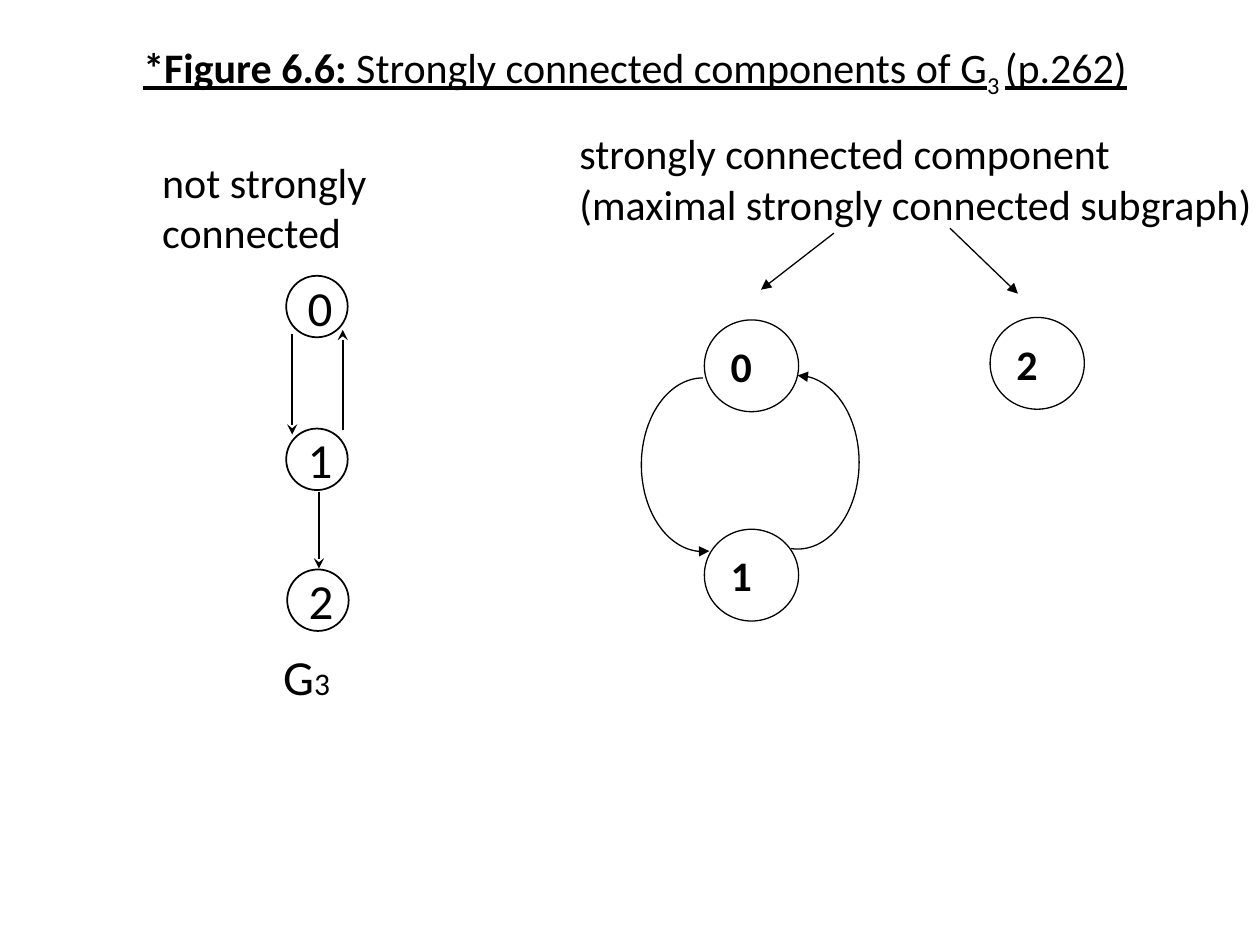
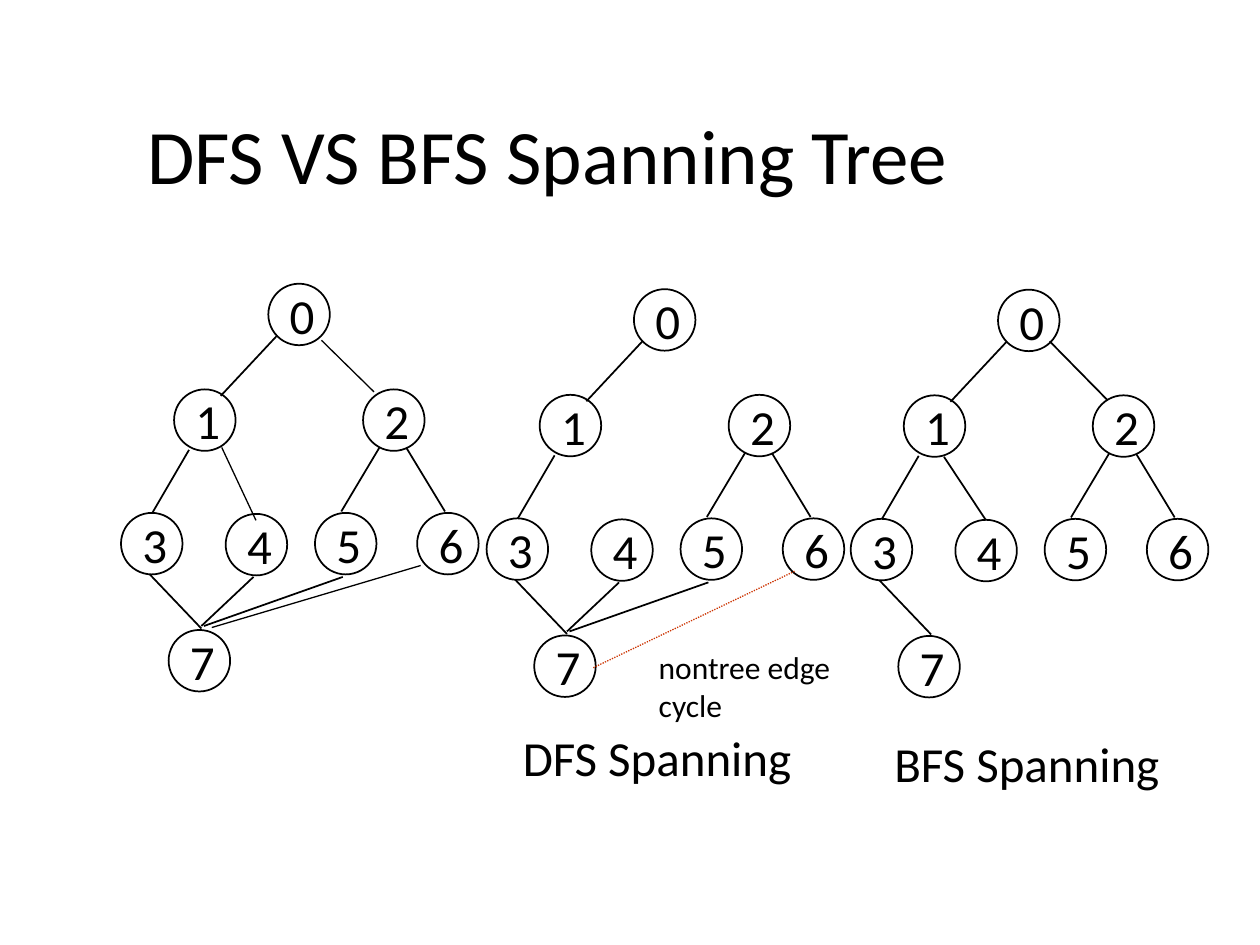
from dataclasses import dataclass
from math import cos, radians, sin

from lxml.etree import SubElement
from pptx import Presentation
from pptx.dml.color import RGBColor
from pptx.enum.dml import MSO_LINE
from pptx.enum.shapes import MSO_CONNECTOR, MSO_SHAPE
from pptx.enum.text import MSO_ANCHOR, PP_ALIGN
from pptx.oxml.ns import qn
from pptx.util import Cm, Pt


@dataclass(frozen=True)
class Theme:
    font: str = "Calibri"
    ink: RGBColor = RGBColor(0x00, 0x00, 0x00)
    paper: RGBColor = RGBColor(0xFF, 0xFF, 0xFF)
    accent: RGBColor = RGBColor(0xCC, 0x33, 0x00)
    title: int = 44
    label: int = 28
    body: int = 24
    small: int = 18
    thin: float = 0.75
    line: float = 1


THEME = Theme()


def write(tf, text, size=THEME.body, bold=False, anchor=MSO_ANCHOR.MIDDLE, wrap=True):
    """Fill a frame; each line is a string or a list of (text, run format) pairs."""
    tf.word_wrap = wrap
    tf.vertical_anchor = anchor
    lines = text if isinstance(text, list) else [text]
    for i, line in enumerate(lines):
        p = tf.add_paragraph() if i else tf.paragraphs[0]
        p.alignment = PP_ALIGN.LEFT
        for run_text, fmt in [(line, {})] if isinstance(line, str) else line:
            r = p.add_run()
            r.text = run_text
            r.font.name = THEME.font
            r.font.size = Pt(fmt.get("size", size))
            r.font.bold = fmt.get("bold", bold)
            r.font.underline = fmt.get("underline", False)
            r.font.color.rgb = THEME.ink
            if "baseline" in fmt:
                r.font._element.set("baseline", str(fmt["baseline"]))


class Deck:
    def __init__(self, theme):
        self.theme = theme
        self.prs = Presentation()
        self.prs.slide_width, self.prs.slide_height = Cm(25.4), Cm(19.05)
        self.s = None

    def new_slide(self):
        self.s = self.prs.slides.add_slide(self.prs.slide_layouts[6])

    def text(self, x, y, w, h, text, **fmt):
        sp = self.s.shapes.add_textbox(Cm(x), Cm(y), Cm(w), Cm(h))
        write(sp.text_frame, text, **fmt)

    def node(self, x, y, name, w=1.24, h=1.24, weight=THEME.line, **fmt):
        sp = self.s.shapes.add_shape(MSO_SHAPE.OVAL, Cm(x), Cm(y), Cm(w), Cm(h))
        sp.shadow.inherit = False
        sp.fill.solid()
        sp.fill.fore_color.rgb = self.theme.paper
        self.stroke(sp, weight)
        write(sp.text_frame, name, **{"size": self.theme.label, **fmt})

    def stroke(self, sp, weight, color=None, dash=None, head=None, tail=None):
        sp.line.color.rgb = color or self.theme.ink
        sp.line.width = Pt(weight)
        if dash:
            sp.line.dash_style = dash
        ln = sp._element.spPr.find(qn("a:ln"))
        for tag, kind in (("a:headEnd", head), ("a:tailEnd", tail)):
            if kind:
                SubElement(ln, qn(tag), type=kind)

    def edge(self, x1, y1, x2, y2, weight=THEME.line, **style):
        sp = self.s.shapes.add_connector(
            MSO_CONNECTOR.STRAIGHT, Cm(x1), Cm(y1), Cm(x2), Cm(y2))
        self.stroke(sp, weight, **style)
        SubElement(sp._element.spPr, qn("a:effectLst"))

    def arc(self, cx, cy, side, rx=1.24, ry=1.75, **style):
        """Half-ellipse from the top to just past the bottom; side is 1 or -1."""
        points = [(Cm(cx + side * rx * cos(radians(a))), Cm(cy + ry * sin(radians(a))))
                  for a in range(-90, 97, 3)]
        fb = self.s.shapes.build_freeform(*points[0])
        fb.add_line_segments(points[1:], close=False)
        sp = fb.convert_to_shape()
        sp.shadow.inherit = False
        sp.fill.background()
        self.stroke(sp, self.theme.thin, **style)


# Positions in cm of the tree's nodes and edges, for the leftmost graph
TREE_NODES = [(5.41, 5.72), (3.51, 7.85), (7.32, 7.85), (2.44, 10.34),
              (4.55, 10.36), (6.35, 10.34), (8.41, 10.34), (3.4, 12.7)]
TREE_EDGES = {
    "0-1": (5.59, 6.76, 4.45, 7.98), "0-2": (6.45, 6.76, 7.62, 7.95),
    "1-3": (3.81, 9.07, 3.07, 10.34), "1-4": (4.32, 9.09, 5.16, 10.36),
    "2-5": (7.65, 9.02, 6.88, 10.31), "2-6": (8.2, 9.04, 8.97, 10.31),
    "3-7": (3.02, 11.58, 4.06, 12.67), "4-7": (4.06, 12.62, 5.11, 11.63),
    "5-7": (4.11, 12.62, 6.91, 11.63),
}
# Thin edges that only the full graph has
FULL_GRAPH_EDGES = [(6.48, 6.86, 7.54, 7.9), (4.47, 9.02, 5.16, 10.49),
                    (4.27, 12.65, 8.48, 11.4)]


def components_slide(d):
    t = d.theme
    d.new_slide()
    d.text(2.64, 0.79, 20.57, 1.27, [[
        ("*Figure 6.6: ", {"bold": True, "underline": True}),
        ("Strongly connected components of G", {"underline": True}),
        ("3 ", {"baseline": -25000}),
        ("(p.262)", {"underline": True})]], wrap=False)

    # Strongly connected components
    for x, y, name in [(14.2, 6.45, "0"), (14.2, 10.67, "1"), (19.96, 6.4, "2")]:
        d.node(x, y, name, w=1.9, h=1.85, weight=t.thin, size=t.body, bold=True)
    d.arc(16.08, 9.32, 1, head="triangle")
    d.arc(14.17, 9.37, -1, tail="triangle")

    # Graph G3
    for x, y, name in [(5.77, 5.56, "0"), (5.77, 8.64, "1"), (5.79, 11.48, "2")]:
        d.node(x, y, name)
    for ends in [(6.43, 9.91, 6.43, 11.46), (6.91, 8.66, 6.91, 6.65),
                 (5.89, 6.73, 5.89, 8.76)]:
        d.edge(*ends, tail="stealth")
    d.text(5.46, 12.9, 1.55, 1.45, [[("G", {}), ("3", {"size": t.small})]],
           size=t.label, anchor=MSO_ANCHOR.TOP)

    # Captions and pointers
    d.text(3.02, 3.53, 8.2, 1.27, "not strongly connected")
    for ends in [(16.81, 4.7, 15.34, 5.84), (19.15, 4.6, 20.52, 5.92)]:
        d.edge(*ends, weight=t.thin, tail="triangle")
    d.text(11.43, 2.44, 14.1, 2.31, ["strongly connected component",
           "(maximal strongly connected subgraph)"], wrap=False)


def tree(d, dx, dy, edges):
    for number, (x, y) in enumerate(TREE_NODES):
        d.node(x + dx, y + dy, str(number))
    for name in edges.split():
        x1, y1, x2, y2 = TREE_EDGES[name]
        d.edge(x1 + dx, y1 + dy, x2 + dx, y2 + dy)


def spanning_slide(d):
    t = d.theme
    d.new_slide()
    d.text(2.72, 1.5, 22.68, 3.18, "DFS VS BFS Spanning Tree", size=t.title)

    # Full graph, depth-first tree, breadth-first tree
    tree(d, 0, 0, "0-1 1-3 2-5 2-6 3-7 4-7 5-7")
    for ends in FULL_GRAPH_EDGES:
        d.edge(*ends, weight=t.thin)
    tree(d, 7.37, 0.11, "0-1 1-3 2-5 2-6 3-7 4-7 5-7")
    tree(d, 14.71, 0.12, "0-1 0-2 1-3 1-4 2-5 2-6 3-7")

    # Nontree edge and captions
    d.edge(11.96, 13.46, 16.03, 11.51, weight=t.thin, color=t.accent,
           dash=MSO_LINE.ROUND_DOT)
    d.text(13.03, 12.85, 4.14, 1.96, ["nontree edge", "cycle"], size=t.small)
    for x, y, caption in [(10.29, 14.55, "DFS Spanning"), (17.78, 14.66, "BFS Spanning")]:
        d.text(x, y, 6.3, 1.45, caption, size=t.label, anchor=MSO_ANCHOR.TOP)


def main():
    d = Deck(THEME)
    components_slide(d)
    spanning_slide(d)
    d.prs.save("out.pptx")


if __name__ == "__main__":
    main()
